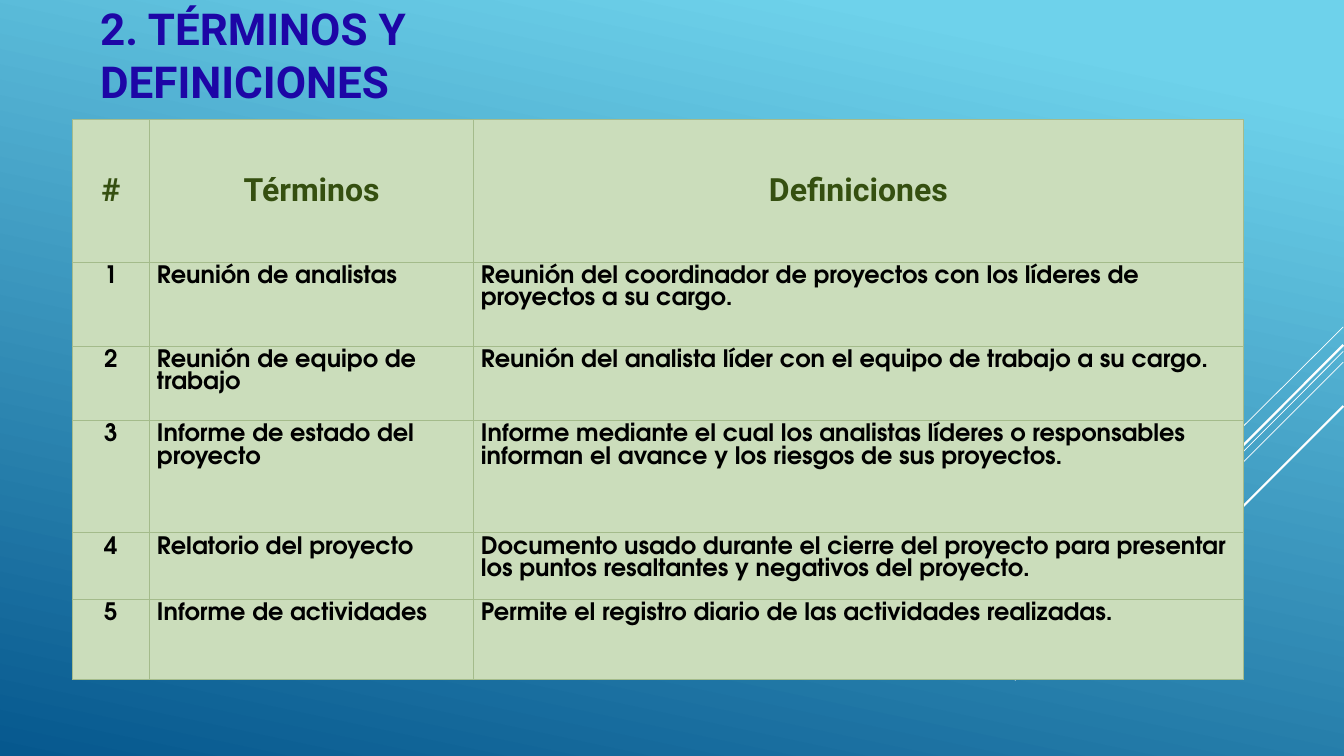
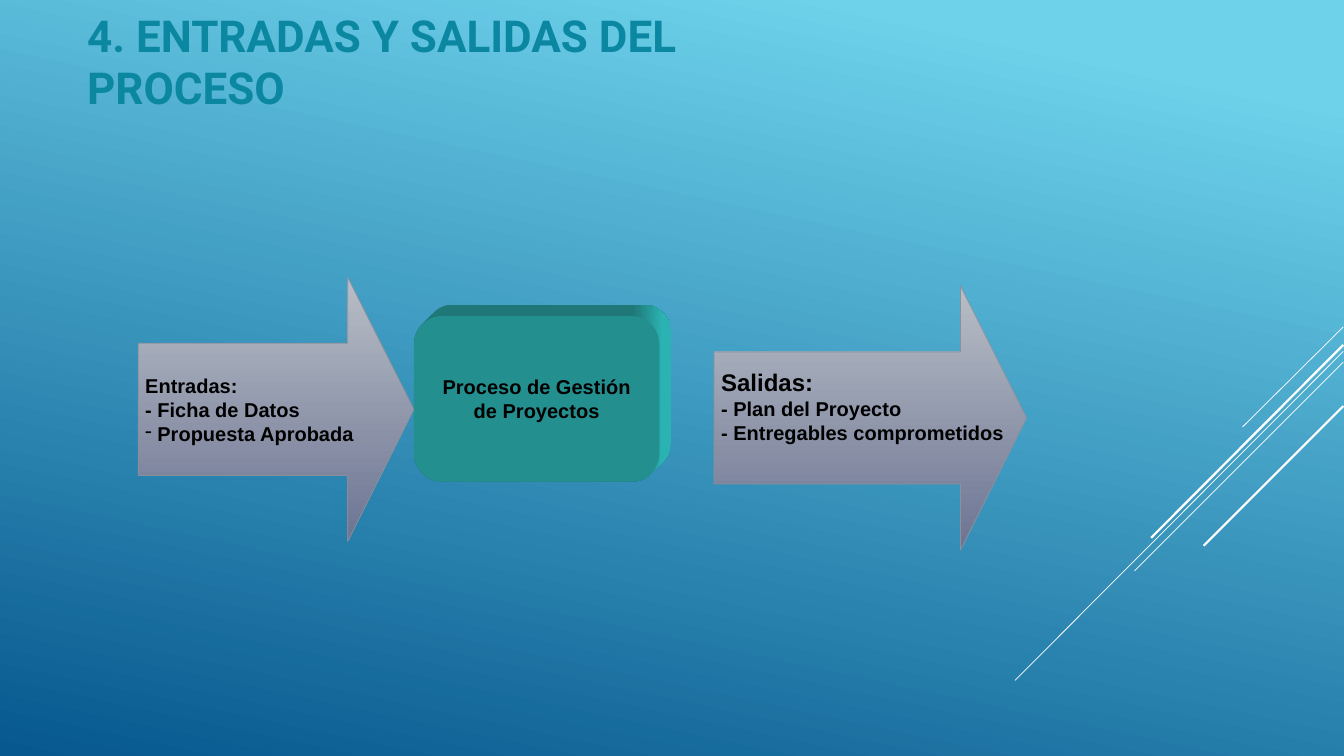
from dataclasses import dataclass
from math import cos, radians, sin

from lxml.etree import SubElement
from pptx import Presentation
from pptx.dml.color import RGBColor
from pptx.enum.shapes import MSO_CONNECTOR as Connector, MSO_SHAPE as Preset
from pptx.enum.text import MSO_ANCHOR as Anchor, MSO_AUTO_SIZE as AutoSize, PP_ALIGN as Align
from pptx.oxml.ns import qn
from pptx.util import Inches, Pt

WIDTH, HEIGHT = Inches(18.67), Inches(10.5)
SKY, DEEP_BLUE = RGBColor(0x6E, 0xD2, 0xEB), RGBColor(0x06, 0x58, 0x8E)
WHITE, BLACK = RGBColor(255, 255, 255), RGBColor(0, 0, 0)
INDIGO, TEAL = RGBColor(0x1D, 0x06, 0xA6), RGBColor(0x0B, 0x87, 0xA1)
PALE_GREEN, DARK_GREEN = RGBColor(0xCB, 0xDD, 0xBB), RGBColor(0x35, 0x4F, 0x10)
BORDER_GREEN = RGBColor(0xA4, 0xBB, 0x8B)
SILVER, SLATE = RGBColor(0xB8, 0xBE, 0xC6), RGBColor(0x6C, 0x74, 0x93)
ARROW_EDGE = RGBColor(0x89, 0x91, 0x9C)
FACE = RGBColor(0x24, 0x8F, 0x8F)
SIDE_DARK, SIDE_LIGHT = RGBColor(0x1F, 0x77, 0x77), RGBColor(0x2B, 0xB3, 0xB3)
HEAD_FONT, TABLE_FONT, FLOW_FONT = "Roboto", "TeX Gyre Adventor", "Arial"

RAYS = [
    ((99.95, 43.24), (92.45, 56.48), 0.75),
    ((99.95, 46.48), (75.52, 90), 0.75),
    ((99.95, 47.9), (84.41, 75.52), 0.75),
    ((99.95, 45.62), (85.65, 71.14), 2.25),
    ((99.95, 53.71), (89.56, 72.19), 2.25),
]
COLUMN_WEIGHTS = (1.08, 4.5, 10.69)
ROW_WEIGHTS = (1.98, 1.17, 1.03, 1.56, 0.92, 1.12)
TERMS = [
    ("#", "Términos", "Definiciones"),
    ("1", "Reunión de analistas",
     "Reunión del coordinador de proyectos con los líderes de proyectos a su cargo."),
    ("2", "Reunión de equipo de trabajo",
     "Reunión del analista líder con el equipo de trabajo a su cargo."),
    ("3", "Informe de estado del proyecto",
     "Informe mediante el cual los analistas líderes o responsables informan el avance "
     "y los riesgos de sus proyectos."),
    ("4", "Relatorio del proyecto",
     "Documento usado durante el cierre del proyecto para presentar los puntos "
     "resaltantes y negativos del proyecto."),
    ("5", "Informe de actividades",
     "Permite el registro diario de las actividades realizadas."),
]
INPUTS = [("Entradas:", 20, False), ("- Ficha de Datos", 20, False),
          (" Propuesta Aprobada", 20, True)]
OUTPUTS = [("Salidas:", 24, False), ("- Plan del Proyecto", 20, False),
           ("- Entregables comprometidos", 20, False)]


def across(share):
    return round(WIDTH * share / 100)


def down(share):
    return round(HEIGHT * share / 100)


@dataclass
class Box:
    left: float
    top: float
    width: float
    height: float

    def place(self):
        return across(self.left), down(self.top), across(self.width), down(self.height)


def set_gradient(fill, colors, angle, positions=(0, 1)):
    fill.gradient()
    fill.gradient_angle = angle
    for stop, color, position in zip(fill.gradient_stops, colors, positions):
        stop.color.rgb = color
        stop.position = position


def style(para, font_name, size, color, align=Align.LEFT):
    para.alignment = align
    font = para.font
    font.name, font.size, font.bold = font_name, Pt(size), True
    font.color.rgb = color


def add_rays(page):
    for start, end, weight in RAYS:
        ray = page.shapes.add_connector(
            Connector.STRAIGHT, across(start[0]), down(start[1]), across(end[0]), down(end[1]))
        ray.line.color.rgb = WHITE
        ray.line.width = Pt(weight)
        SubElement(ray._element.spPr, qn("a:effectLst"))


def add_page(deck, title, box, color):
    page = deck.slides.add_slide(deck.slide_layouts[5])
    holder = page.shapes.title
    holder.left, holder.top, holder.width, holder.height = box.place()
    frame = holder.text_frame
    frame.text = title
    frame.word_wrap = True
    frame.auto_size = AutoSize.NONE
    frame.vertical_anchor = Anchor.BOTTOM
    frame.margin_left = frame.margin_right = Inches(0.14)
    frame.margin_top, frame.margin_bottom = 0, Inches(0.11)
    style(frame.paragraphs[0], HEAD_FONT, 44, color)
    add_rays(page)
    return page


def set_borders(cell):
    properties = cell._tc.get_or_add_tcPr()
    for side in ("lnL", "lnR", "lnT", "lnB"):
        edge = SubElement(properties, qn(f"a:{side}"), w=str(Pt(0.75)))
        paint = SubElement(edge, qn("a:solidFill"))
        SubElement(paint, qn("a:srgbClr"), val=str(BORDER_GREEN))


def add_terms_table(page, box):
    left, top, width, height = box.place()
    table = page.shapes.add_table(
        len(TERMS), len(COLUMN_WEIGHTS), left, top, width, height).table
    table.first_row = table.horz_banding = False
    for column, weight in zip(table.columns, COLUMN_WEIGHTS):
        column.width = round(width * weight / sum(COLUMN_WEIGHTS))
    for row, weight in zip(table.rows, ROW_WEIGHTS):
        row.height = round(height * weight / sum(ROW_WEIGHTS))
    for row_index, texts in enumerate(TERMS):
        header = row_index == 0
        for column_index, text in enumerate(texts):
            cell = table.cell(row_index, column_index)
            cell.text = text
            set_borders(cell)
            cell.fill.solid()
            cell.fill.fore_color.rgb = PALE_GREEN
            cell.vertical_anchor = Anchor.MIDDLE if header else Anchor.TOP
            align = Align.CENTER if header or column_index == 0 else Align.LEFT
            look = (HEAD_FONT, 32, DARK_GREEN) if header else (TABLE_FONT, 24, BLACK)
            style(cell.text_frame.paragraphs[0], *look, align)


def add_flow_arrow(page, box, lines, bottom_margin=0.05):
    arrow = page.shapes.add_shape(Preset.RIGHT_ARROW, *box.place())
    arrow.shadow.inherit = False
    arrow.adjustments[0], arrow.adjustments[1] = 0.5, 0.25
    set_gradient(arrow.fill, (SILVER, SLATE), 270)
    arrow.line.color.rgb = ARROW_EDGE
    arrow.line.width = Pt(0.75)
    frame = arrow.text_frame
    frame.word_wrap = False
    frame.vertical_anchor = Anchor.MIDDLE
    frame.margin_bottom = Inches(bottom_margin)
    for index, (text, size, bulleted) in enumerate(lines):
        para = frame.paragraphs[0] if index == 0 else frame.add_paragraph()
        para.text = text
        style(para, FLOW_FONT, size, BLACK)
        if bulleted:
            properties = para._p.get_or_add_pPr()
            properties.set("marL", "0")
            properties.set("indent", "0")
            bullet = properties.makeelement(qn("a:buChar"), {"char": "-"})
            properties.insert(0, bullet)


def add_process_block(page, box, label):
    left, top, width, height = box.place()
    radius, depth = height / 6, Inches(0.16)
    outline = []
    for quadrant in range(4):
        center_x = left + (width - radius if quadrant in (0, 3) else radius)
        center_y = top + (height - radius if quadrant in (0, 1) else radius)
        for step in range(0, 91, 5):
            angle = radians(quadrant * 90 + step)
            shift = depth if cos(angle) > sin(angle) else 0
            outline.append((round(center_x + radius * cos(angle) + shift),
                            round(center_y + radius * sin(angle) - shift)))
    builder = page.shapes.build_freeform(*outline[0])
    builder.add_line_segments(outline[1:], close=True)
    side = builder.convert_to_shape()
    set_gradient(side.fill, (SIDE_DARK, SIDE_LIGHT), 0, (0.85, 0.97))
    face = page.shapes.add_shape(Preset.ROUNDED_RECTANGLE, left, top, width, height)
    face.adjustments[0] = 0.17
    face.fill.solid()
    face.fill.fore_color.rgb = FACE
    for part in (side, face):
        part.shadow.inherit = False
        part.line.fill.background()
    frame = face.text_frame
    frame.text = label
    frame.word_wrap = True
    frame.vertical_anchor = Anchor.MIDDLE
    style(frame.paragraphs[0], FLOW_FONT, 20, BLACK, Align.CENTER)


def main():
    deck = Presentation()
    deck.slide_width, deck.slide_height = WIDTH, HEIGHT
    set_gradient(deck.slide_master.background.fill, (SKY, DEEP_BLUE), 258, (0.1, 1))

    terms = add_page(deck, "2. TÉRMINOS Y DEFINICIONES", Box(6.7, 0, 45, 15.24), INDIGO)
    add_terms_table(terms, Box(5.36, 15.81, 87.15, 74.1))

    flow = add_page(deck, "4. ENTRADAS Y SALIDAS DEL PROCESO", Box(5.73, 0, 54.37, 16.1), TEAL)
    add_flow_arrow(flow, Box(10.28, 36.67, 20.51, 34.95), INPUTS)
    add_process_block(flow, Box(30.8, 41.81, 18.26, 21.9), "Proceso de Gestión de Proyectos")
    add_flow_arrow(flow, Box(53.13, 37.81, 23.25, 34.95), OUTPUTS, 0.38)

    deck.save("out.pptx")


if __name__ == "__main__":
    main()
